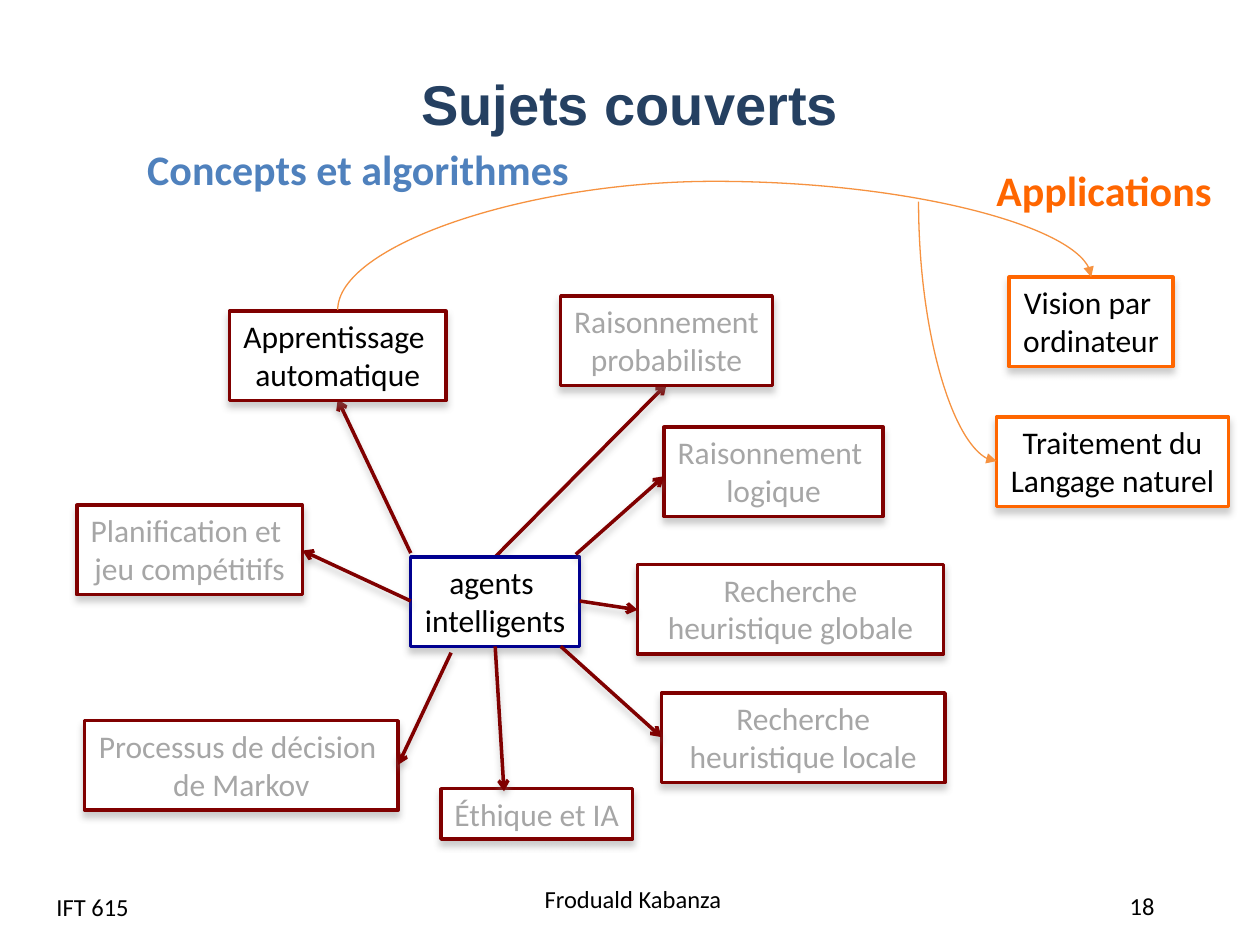
"""Build the map of course topics around intelligent agents."""
from dataclasses import dataclass

from pptx import Presentation
from pptx import util as u
from pptx.dml.color import RGBColor
from pptx.enum import shapes, text
from pptx.oxml import parse_xml
from pptx.oxml.ns import nsdecls, qn

SHADE = (
    '<a:effectLst {ns}><a:outerShdw blurRad="{blur}" dist="{dist}" dir="5400000" '
    'rotWithShape="0"><a:srgbClr val="{color}"><a:alpha val="40000"/></a:srgbClr>'
    '</a:outerShdw></a:effectLst>'
)


@dataclass(frozen=True)
class Theme:
    """Colours, fonts and sizes of the slide."""
    navy: str = "254061"
    blue: str = "4F81BD"
    core: str = "000090"
    wine: str = "800000"
    orange: str = "FF6600"
    amber: str = "F69240"
    black: str = "000000"
    faded: str = "A6A6A6"
    white: str = "FFFFFF"
    shade: str = "808080"
    head: str = "Arial"
    body: str = "Calibri"
    title: int = 32
    label: int = 24
    node: int = 18
    foot: int = 14
    thick: float = 2
    thin: float = 0.75


class Sketch:
    """Draw styled elements on one slide."""

    def __init__(self, slide, theme):
        self.slide = slide
        self.theme = theme

    def letter(self, frame, words, size, color, font=None, bold=False, center=False):
        """Fill a frame with evenly styled paragraphs."""
        frame.text = words
        for para in frame.paragraphs:
            para.alignment = text.PP_ALIGN.CENTER if center else text.PP_ALIGN.LEFT
            for run in para.runs:
                run.font.name = font or self.theme.body
                run.font.size = u.Pt(size)
                run.font.bold = bold
                run.font.color.rgb = RGBColor.from_string(color)

    def shade(self, shape):
        """Give a shape the soft shadow below it."""
        shape.element.spPr.append(parse_xml(SHADE.format(
            ns=nsdecls("a"), blur=u.Pt(4), dist=u.Pt(3), color=self.theme.shade)))

    def label(self, spot, words, size, color, wrap=True, **style):
        """Add a plain text box."""
        box = self.slide.shapes.add_textbox(*map(u.Inches, spot))
        frame = box.text_frame
        frame.word_wrap = wrap
        if wrap:
            frame.vertical_anchor = text.MSO_ANCHOR.MIDDLE
        else:
            frame.auto_size = text.MSO_AUTO_SIZE.SHAPE_TO_FIT_TEXT
        self.letter(frame, words, size, color, **style)

    def node(self, spot, words, edge, color, wrap=False):
        """Add a framed topic."""
        box = self.slide.shapes.add_shape(
            shapes.MSO_SHAPE.RECTANGLE, *map(u.Inches, spot))
        box.fill.solid()
        box.fill.fore_color.rgb = RGBColor.from_string(self.theme.white)
        box.line.color.rgb = RGBColor.from_string(edge)
        box.line.width = u.Pt(self.theme.thick)
        self.shade(box)
        frame = box.text_frame
        frame.word_wrap = wrap
        frame.auto_size = text.MSO_AUTO_SIZE.SHAPE_TO_FIT_TEXT
        frame.vertical_anchor = text.MSO_ANCHOR.TOP
        self.letter(frame, words, self.theme.node, color, center=True)

    def link(self, kind, ends, color, width, tip):
        """Add a connector with a tip at its end."""
        line = self.slide.shapes.add_connector(kind, *map(u.Inches, ends))
        line.line.color.rgb = RGBColor.from_string(color)
        line.line.width = u.Pt(width)
        line.element.spPr.find(qn("a:ln")).append(
            parse_xml(f'<a:tailEnd {nsdecls("a")} type="{tip}"/>'))
        return line

    def arrow(self, *ends):
        """Add a straight arrow with a shadow."""
        self.shade(self.link(shapes.MSO_CONNECTOR.STRAIGHT, ends,
                             self.theme.wine, self.theme.thick, "arrow"))

    def curve(self, spot, turn, flips, preset, bend=None):
        """Add a curved arrow turned by whole degrees."""
        left, top, wide, high = spot
        line = self.link(shapes.MSO_CONNECTOR.CURVE,
                         (left, top, left + wide, top + high),
                         self.theme.amber, self.theme.thin, "triangle")
        props = line.element.spPr
        props.append(parse_xml(f'<a:effectLst {nsdecls("a")}/>'))
        frame = props.find(qn("a:xfrm"))
        frame.set("rot", str(turn * 60000))
        for flip in flips:
            frame.set(flip, "1")
        shape = props.find(qn("a:prstGeom"))
        shape.set("prst", preset)
        if bend:
            shape.find(qn("a:avLst")).append(parse_xml(
                f'<a:gd {nsdecls("a")} name="adj1" fmla="val {bend}"/>'))


def main():
    """Compose and save the slide."""
    deck = Presentation()
    deck.slide_width, deck.slide_height = u.Inches(10), u.Inches(7.5)
    look = Theme()
    art = Sketch(deck.slides.add_slide(deck.slide_layouts[6]), look)

    art.label((0.25, 0.43, 9.5, 0.77), "Sujets couverts", look.title, look.navy,
              font=look.head, bold=True, center=True)
    for spot, words, center in (
        ((4.18, 6.95, 2.25, 0.37), " Froduald Kabanza", False),
        ((8.66, 7.06, 0.81, 0.26), "18", True),
        ((0.35, 7, 2.33, 0.4), "IFT 615", False),
    ):
        art.label(spot, words, look.foot, look.black, center=center)

    art.arrow(3.93, 4.42, 5.29, 3.05)
    art.arrow(3.26, 4.39, 2.68, 3.17)

    tall = 0.71
    art.node((3.26, 4.42, 1.34, tall), "agents \nintelligents", look.core, look.black)
    art.node((1.82, 2.47, 1.72, tall), "Apprentissage \nautomatique",
             look.wine, look.black)
    for spot, words, wrap in (
        ((5.27, 3.39, 1.74, tall), "Raisonnement \nlogique", False),
        ((0.67, 5.72, 2.49, tall), "Processus de décision \nde Markov", False),
        ((0.61, 4.01, 1.79, tall), "Planification et \njeu compétitifs", False),
        ((5.25, 5.5, 2.25, tall), "Recherche heuristique locale", True),
        ((5.06, 4.48, 2.43, tall), "Recherche heuristique globale", True),
        ((3.5, 6.26, 1.52, 0.4), "Éthique et IA", False),
        ((4.45, 2.35, 1.68, tall), "Raisonnement\nprobabiliste", False),
    ):
        art.node(spot, words, look.wine, look.faded, wrap)

    for ends in (
        (4.6, 4.77, 5.06, 4.84),
        (4.45, 5.13, 5.25, 5.85),
        (3.93, 5.13, 4, 6.28),
        (3.26, 4.77, 2.4, 4.37),
        (3.58, 5.18, 3.16, 6.07),
        (4.57, 4.4, 5.27, 3.78),
    ):
        art.arrow(*ends)

    art.label((7.81, 1.26, 1.93, 0.5), "Applications", look.label, look.orange,
              wrap=False, bold=True)
    art.label((1.07, 1.09, 3.58, 0.5), "Concepts et algorithmes", look.label,
              look.blue, wrap=False, bold=True)

    art.node((8.01, 2.2, 1.3, tall), "Vision par \nordinateur", look.orange, look.black)
    art.curve((5.54, -0.66, 0.26, 5.98), 90, ("flipH", "flipV"),
              "curvedConnector3", 392600)
    art.node((7.91, 3.31, 1.84, tall), "Traitement du\nLangage naturel",
             look.orange, look.black)
    art.curve((6.57, 2.32, 2.06, 0.62), 270, ("flipH",), "curvedConnector2")

    deck.save("out.pptx")


if __name__ == "__main__":
    main()
